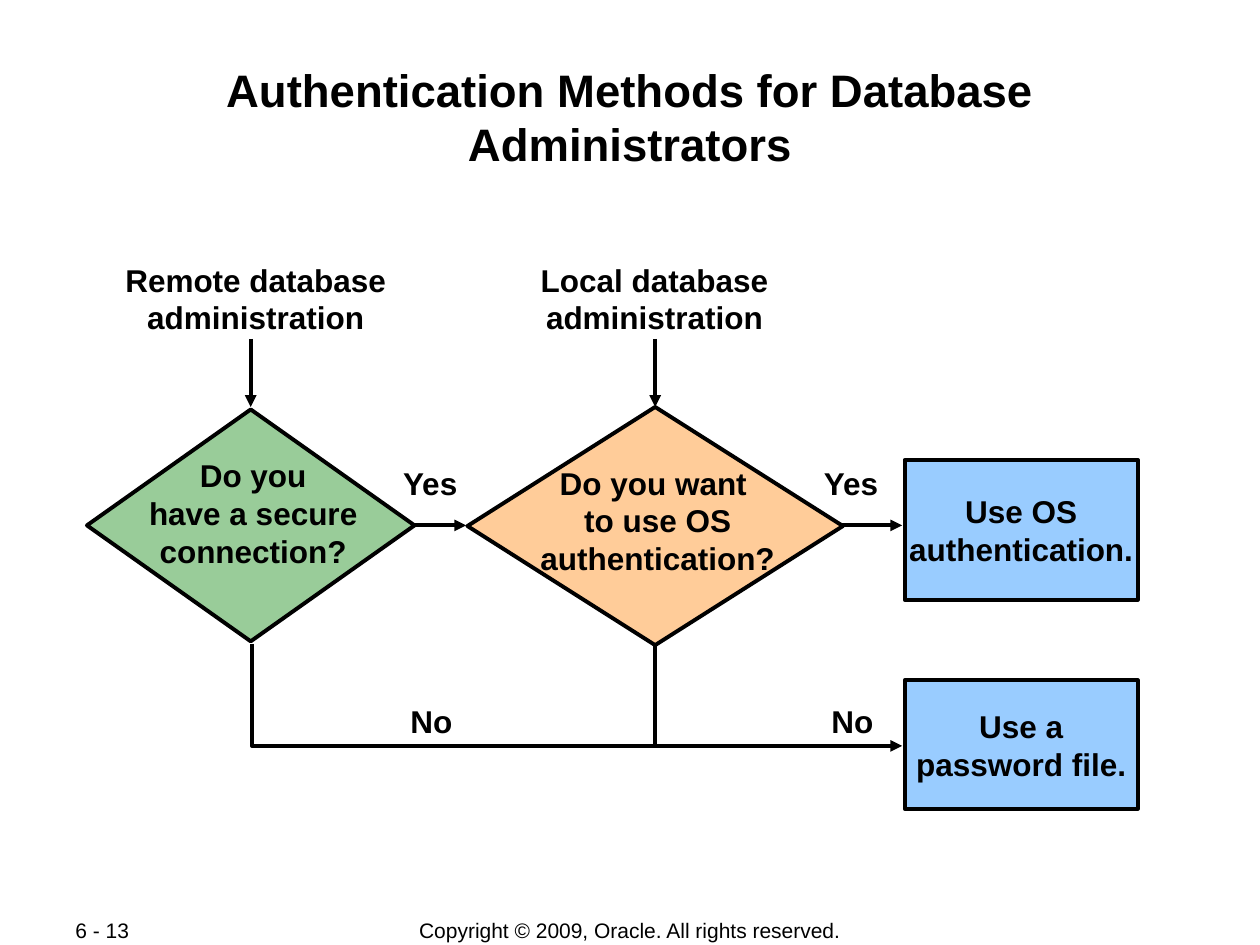
from lxml import etree
from pptx import Presentation
from pptx.dml.color import RGBColor
from pptx.enum import shapes, text
from pptx.oxml.ns import qn
from pptx.util import Inches, Pt

BLACK = RGBColor(0x00, 0x00, 0x00)
GREEN = RGBColor(0x99, 0xCC, 0x99)
ORANGE = RGBColor(0xFF, 0xCC, 0x99)
BLUE = RGBColor(0x99, 0xCC, 0xFF)
FONT = "Arial"
CENTER = text.PP_ALIGN.CENTER
LEFT = text.PP_ALIGN.LEFT
TOP = text.MSO_ANCHOR.TOP
MIDDLE = text.MSO_ANCHOR.MIDDLE


def write(tf, lines, size=18, bold=True, align=CENTER, anchor=TOP,
          wrap=True, margins=(0.1, 0.05)):
    """Fill a text frame with one paragraph for each line."""
    tf.word_wrap = wrap
    tf.vertical_anchor = anchor
    tf.margin_left = tf.margin_right = Inches(margins[0])
    tf.margin_top = tf.margin_bottom = Inches(margins[1])
    for i, line in enumerate(lines):
        p = tf.paragraphs[0] if i == 0 else tf.add_paragraph()
        p.text = line
        p.alignment = align
        p.space_before = Pt(0)
        p.font.name = FONT
        p.font.size = Pt(size)
        p.font.bold = bold
        p.font.color.rgb = BLACK


def add_text(slide, box, lines, **fmt):
    sp = slide.shapes.add_textbox(*map(Inches, box))
    write(sp.text_frame, lines, **fmt)


def style_line(line, arrow):
    line.color.rgb = BLACK
    line.width = Pt(2.25)
    if arrow:
        ln = line._get_or_add_ln()
        etree.SubElement(ln, qn("a:tailEnd"), type="triangle")


def add_line(slide, start, end, arrow=True):
    cxn = slide.shapes.add_connector(
        shapes.MSO_CONNECTOR.STRAIGHT, *map(Inches, start + end))
    style_line(cxn.line, arrow)
    etree.SubElement(cxn._element.spPr, qn("a:effectLst"))


def add_elbow(slide, start, corner, end):
    points = [tuple(map(Inches, pt)) for pt in (start, corner, end)]
    builder = slide.shapes.build_freeform(*points[0])
    builder.add_line_segments(points[1:], close=False)
    sp = builder.convert_to_shape()
    sp.shadow.inherit = False
    sp.fill.background()
    style_line(sp.line, arrow=True)


def add_block(slide, kind, box, fill):
    sp = slide.shapes.add_shape(kind, *map(Inches, box))
    sp.shadow.inherit = False
    sp.fill.solid()
    sp.fill.fore_color.rgb = fill
    style_line(sp.line, arrow=False)
    return sp


def add_title(slide, box, title):
    sp = slide.shapes.title
    sp.left, sp.top, sp.width, sp.height = map(Inches, box)
    write(sp.text_frame, [title], size=26, margins=(0.01, 0.01))


def add_decision(slide, box, fill, lines, text_box):
    """Draw a diamond with its question; text_box is relative to the diamond."""
    x, y = box[:2]
    dx, dy, width, height = text_box
    add_block(slide, shapes.MSO_SHAPE.DIAMOND, box, fill)
    add_text(slide, (x + dx, y + dy, width, height), lines, wrap=False)


def add_entry(slide, box, lines, arrow_x):
    """Write a starting point and its arrow down to a decision."""
    y = box[1]
    add_text(slide, box, lines)
    add_line(slide, (arrow_x, y + 0.67), (arrow_x, y + 1.21))


def add_outcome(slide, box, lines):
    sp = add_block(slide, shapes.MSO_SHAPE.RECTANGLE, box, BLUE)
    write(sp.text_frame, lines, anchor=MIDDLE, wrap=False,
          margins=(0.05, 0.05))


def add_flowchart(slide, box):
    """Lay out both decisions, their entries and the two outcomes."""
    left, top, width, height = box
    right, bottom = left + width, top + height
    remote_x, local_x = left + 1.3, left + 4.51
    yes_y, no_y = top + 2.15, bottom - 0.5
    outcome_w = 1.85
    outcome_x = right - outcome_w

    add_line(slide, (remote_x + 1.3, yes_y), (local_x - 1.5, yes_y))
    add_line(slide, (local_x + 1.41, yes_y), (outcome_x - 0.02, yes_y))
    add_line(slide, (local_x, yes_y + 0.9), (local_x, no_y), arrow=False)
    add_elbow(slide, (remote_x + 0.01, yes_y + 0.94),
              (remote_x + 0.01, no_y), (outcome_x - 0.02, no_y))

    add_decision(slide, (remote_x - 1.3, yes_y - 0.92, 2.6, 1.84), GREEN,
                 ["Do you", "have a secure", "connection?"],
                 (0.39, 0.32, 1.86, 1))
    add_decision(slide, (local_x - 1.49, yes_y - 0.94, 2.98, 1.89), ORANGE,
                 ["Do you want \vto use OS", "authentication?"],
                 (0.48, 0.4, 2.06, 1))
    add_entry(slide, (left + 0.19, top, 2.3, 0.7),
              ["Remote database", "administration"], remote_x)
    add_entry(slide, (local_x - 1.02, top, 2.03, 0.7),
              ["Local database", "administration"], local_x)

    for x in (left + 2.41, left + 5.75):
        add_text(slide, (x, yes_y - 0.54, 0.65, 0.4), ["Yes"], align=LEFT)
        add_text(slide, (x + 0.06, no_y - 0.4, 0.54, 0.4), ["No"], align=LEFT)

    add_outcome(slide, (outcome_x, yes_y - 0.52, outcome_w, 1.11),
                ["Use OS", "authentication."])
    add_outcome(slide, (outcome_x, no_y - 0.52, outcome_w, 1.02),
                ["Use a", "password file."])


def add_footer(slide, box):
    left, top, width, height = box
    fmt = dict(size=12, bold=False, anchor=MIDDLE, wrap=False)
    add_text(slide, (left, top, 1.06, height), ["6 - 13"], align=LEFT, **fmt)
    add_text(slide, (left + width / 2 - 2.25, top, 4.5, height),
             ["Copyright © 2009, Oracle. All rights reserved."], **fmt)


def main():
    prs = Presentation()
    prs.slide_width, prs.slide_height = Inches(10), Inches(7.5)
    slide = prs.slides.add_slide(prs.slide_layouts[5])
    add_title(slide, (0.67, 0.48, 8.66, 0.96),
              "Authentication Methods for Database Administrators")
    add_flowchart(slide, (0.69, 2.02, 8.34, 4.4))
    add_footer(slide, (0.5, 7.28, 9, 0.21))
    prs.save("out.pptx")


if __name__ == "__main__":
    main()
